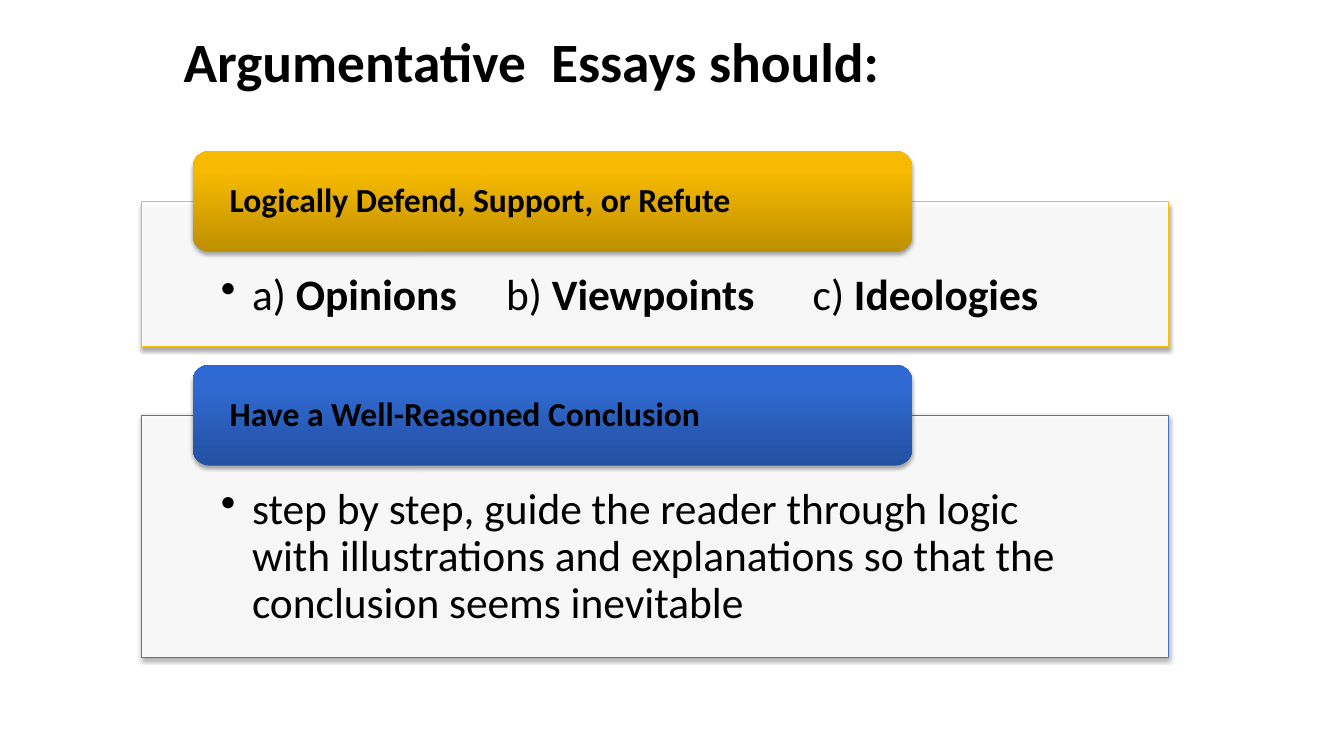
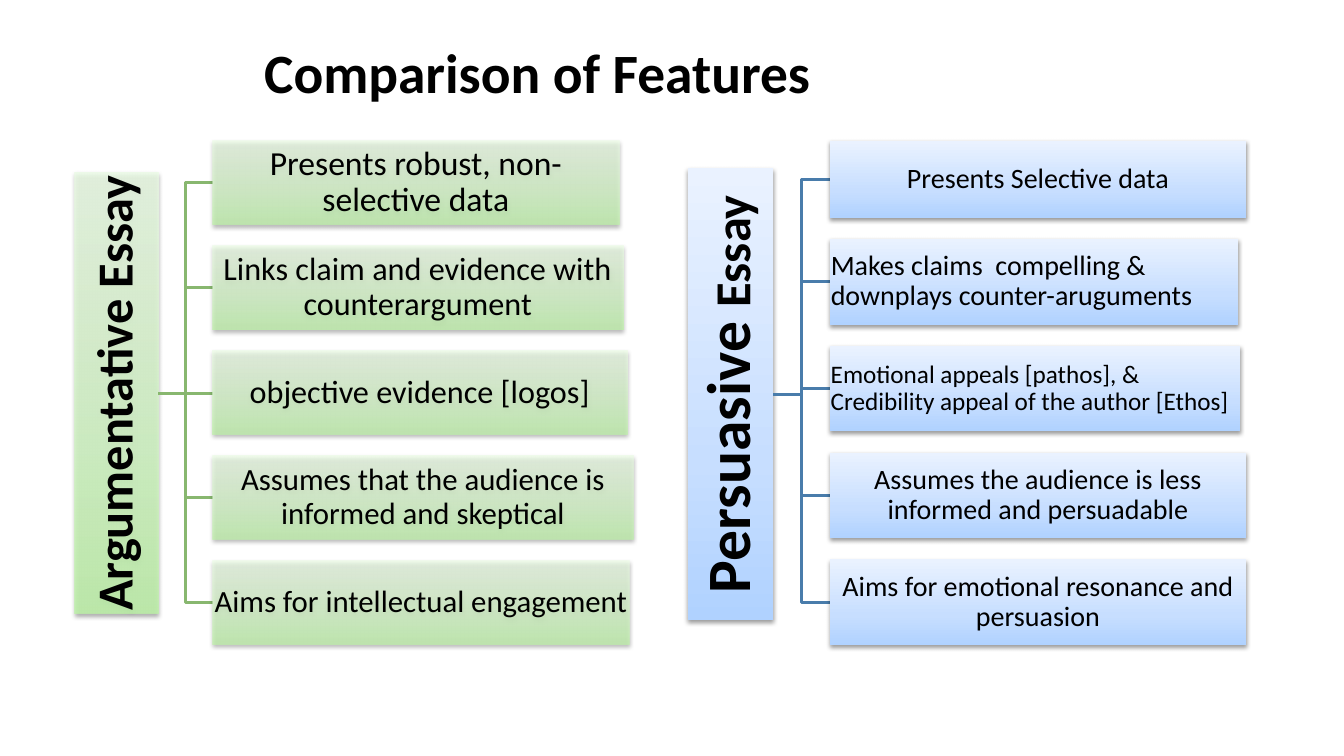
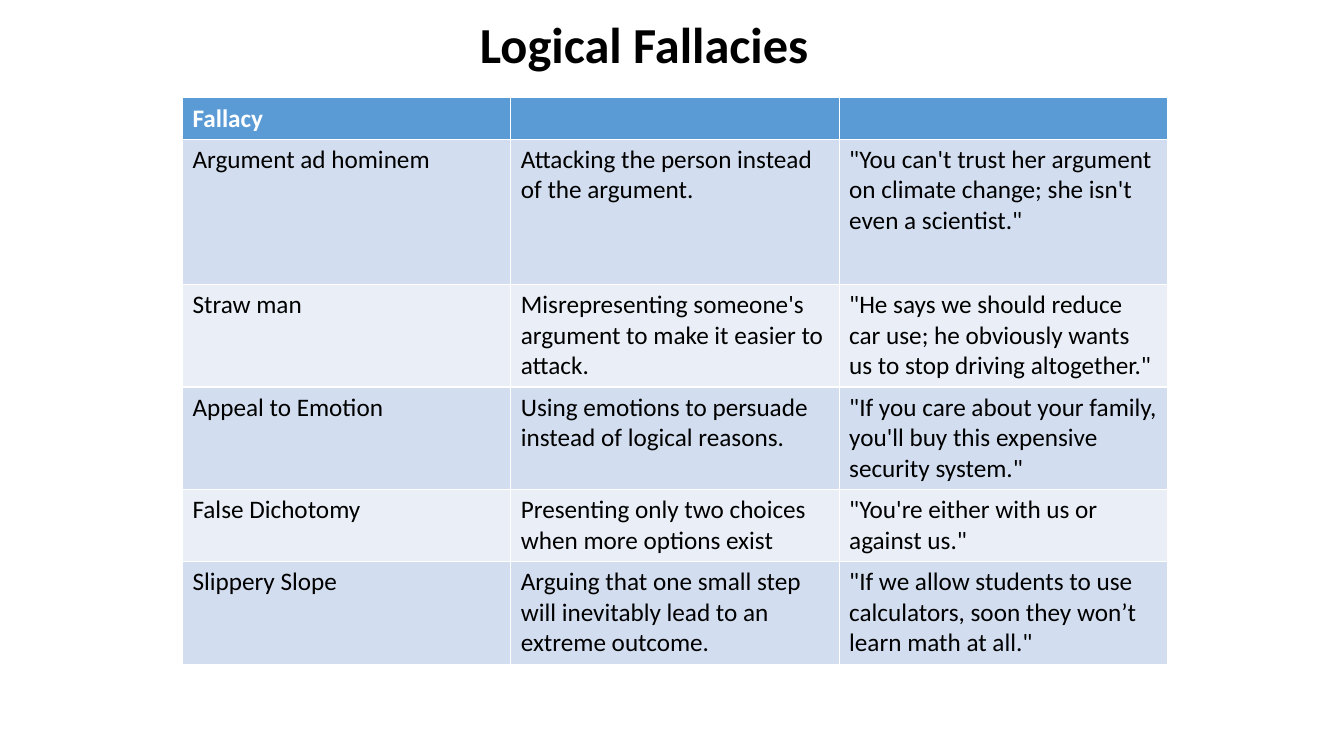
from lxml import etree
from pptx import Presentation
from pptx.dml.color import RGBColor
from pptx.enum import shapes, text
from pptx.oxml import ns
from pptx.util import Inches, Pt

FONT = "Calibri"
BLACK = RGBColor(0x00, 0x00, 0x00)
WHITE = RGBColor(0xFF, 0xFF, 0xFF)
AMBER = RGBColor(0xFF, 0xC0, 0x00)
BLUE = RGBColor(0x44, 0x72, 0xC4)
GREEN_LINE = RGBColor(0x88, 0xB7, 0x6F)
BLUE_LINE = RGBColor(0x49, 0x7C, 0xAB)
HEADER_FILL = RGBColor(0x5B, 0x9B, 0xD5)
BAND_FILLS = [RGBColor(0xD2, 0xDE, 0xEF), RGBColor(0xEA, 0xEF, 0xF7)]

# Gradient stops, from bottom to top: position in percent, colour
AMBER_FADE = [(0, "BE8F00"), (80, "F7BA00"), (100, "F8BB00")]
BLUE_FADE = [(0, "2451A1"), (80, "2F69D1"), (100, "2C69D5")]
GREEN_FADE = [(0, "BEF5A7"), (35, "D1F7C2"), (100, "EDFDE7")]
SKY_FADE = [(0, "B0D2FF"), (35, "C7DEFF"), (100, "EAF2FF")]

LEFT, CENTER = text.PP_ALIGN.LEFT, text.PP_ALIGN.CENTER


def write(frame, runs, align=LEFT, color=BLACK):
    """Fill the first paragraph with runs of (words, size, bold)."""
    paragraph = frame.paragraphs[0]
    paragraph.alignment = align
    paragraph.line_spacing = 0.9
    for words, size, bold in runs:
        run = paragraph.add_run()
        run.text = words
        run.font.name = FONT
        run.font.size = Pt(size)
        run.font.bold = bold
        run.font.color.rgb = color
    return paragraph


def add_box(slide, place, stops, opacity=100, margins=(0.01,) * 4, rounded=False,
            shadow=(38, 1.6)):
    """Add a gradient box with a soft shadow; margins are left, top, right, bottom."""
    preset = shapes.MSO_SHAPE.ROUNDED_RECTANGLE if rounded else shapes.MSO_SHAPE.RECTANGLE
    box = slide.shapes.add_shape(preset, *[Inches(value) for value in place])
    box.line.fill.background()
    box.fill.gradient()
    box.fill.gradient_angle = 90
    stop_list = box._element.spPr.find(".//" + ns.qn("a:gsLst"))
    for stop in list(stop_list):
        stop_list.remove(stop)
    for position, color in stops:
        stop = etree.SubElement(stop_list, ns.qn("a:gs"), pos=str(position * 1000))
        tint = etree.SubElement(stop, ns.qn("a:srgbClr"), val=color)
        etree.SubElement(tint, ns.qn("a:alpha"), val=str(opacity * 1000))

    box.shadow.inherit = False
    effects = box._element.spPr.find(ns.qn("a:effectLst"))
    strength, distance = shadow
    outer = etree.SubElement(effects, ns.qn("a:outerShdw"), blurRad=str(Pt(3.1)),
                             dist=str(Pt(distance)), dir="5400000", rotWithShape="0")
    tint = etree.SubElement(outer, ns.qn("a:srgbClr"), val="000000")
    etree.SubElement(tint, ns.qn("a:alpha"), val=str(strength * 1000))

    frame = box.text_frame
    frame.word_wrap = True
    frame.vertical_anchor = text.MSO_ANCHOR.MIDDLE
    (frame.margin_left, frame.margin_top,
     frame.margin_right, frame.margin_bottom) = [Inches(value) for value in margins]
    return box


presentation = Presentation()
presentation.slide_width = Inches(13.33)
presentation.slide_height = Inches(7.5)

# Slides and titles
titles = [
    ("Argumentative  Essays should:", 39.6, (1.72, 0.3, 8.67, 0.68)),
    ("Comparison of Features", 39.6, (2.52, 0.38, 5.7, 0.73)),
    ("Logical Fallacies", 36, (4.66, 0.11, 4.36, 0.71)),
]
slides = []
for heading, size, place in titles:
    slide = presentation.slides.add_slide(presentation.slide_layouts[5])
    title = slide.shapes.title
    title.left, title.top, title.width, title.height = [Inches(value) for value in place]
    title.text_frame.auto_size = text.MSO_AUTO_SIZE.NONE
    title.text_frame.vertical_anchor = text.MSO_ANCHOR.MIDDLE
    write(title.text_frame, [(heading, size, True)])
    slides.append(slide)
goals_slide, features_slide, fallacies_slide = slides

# Slide 1: panels with a heading pill on the top edge
goals = [
    (2, 1.44, AMBER, AMBER_FADE, "Logically Defend, Support, or Refute",
     [("a) ", 31, False), ("Opinions", 31, True), ("\tb) ", 31, False),
      ("Viewpoints", 31, True), ("\tc) ", 31, False), ("Ideologies", 31, True)]),
    (4.12, 2.4, BLUE, BLUE_FADE, "Have a Well-Reasoned Conclusion",
     [("step by step, guide the reader through logic with illustrations and "
       "explanations so that the conclusion seems inevitable", 31, False)]),
]
for top, height, line_color, fade, heading, details in goals:
    panel = add_box(goals_slide, (1.4, top, 10.19, height), [(0, "FFFFFF"), (100, "FFFFFF")],
                    90, (0.79, 0.71, 0.79, 0.24), shadow=(35, 1.8))
    panel.line.color.rgb = line_color
    panel.line.width = Pt(0.75)
    panel.text_frame.vertical_anchor = text.MSO_ANCHOR.TOP
    properties = write(panel.text_frame, details)._p.get_or_add_pPr()
    properties.set("marL", str(Inches(0.31)))
    properties.set("indent", str(-Inches(0.31)))
    etree.SubElement(properties, ns.qn("a:buChar"), char="•")
    tabs = etree.SubElement(properties, ns.qn("a:tabLst"))
    for position in (2.83, 5.87):
        etree.SubElement(tabs, ns.qn("a:tab"), pos=str(Inches(position)), algn="l")

    pill = add_box(goals_slide, (1.91, top - 0.5, 7.14, 1), fade,
                   margins=(0.32, 0, 0.32, 0), rounded=True, shadow=(35, 1.8))
    write(pill.text_frame, [(heading, 24, True)])

# Slide 2: two trees, each a vertical bar with five features
FIRST_TOP, GAP = 1.4, 0.21
trees = [
    # bar place, bar runs, bar and box opacity, fade, line, box left, features
    ((0.74, 1.71, 0.83, 4.38), [("Argumentative Essay", 36, True)], 80, 70,
     GREEN_FADE, GREEN_LINE, 2.11, [
         (4.03, 0.83, 24, CENTER, "Presents robust, non-selective data"),
         (4.07, 0.83, 23, CENTER, "Links claim and evidence with counterargument"),
         (4.11, 0.83, 23, CENTER, "objective evidence [logos]"),
         (4.17, 0.83, 22, CENTER, "Assumes that the audience is informed and skeptical"),
         (4.13, 0.83, 22, CENTER, "Aims for intellectual engagement")]),
    ((6.82, 1.67, 0.85, 4.48), [("Persuasive ", 44, True), ("Essay", 36, True)], 100, 100,
     SKY_FADE, BLUE_LINE, 8.23, [
         (4.13, 0.76, 20, CENTER, "Presents Selective data"),
         (4.05, 0.85, 20, LEFT, "Makes claims  compelling & downplays counter-aruguments"),
         (4.07, 0.85, 18, LEFT,
          "Emotional appeals [pathos], & Credibility appeal of the author [Ethos]"),
         (4.13, 0.85, 20, CENTER, "Assumes the audience is less informed and persuadable"),
         (4.13, 0.85, 20, CENTER, "Aims for emotional resonance and persuasion")]),
]
for place, name, bar_opacity, opacity, fade, line_color, left, features in trees:
    bar = add_box(features_slide, place, fade, bar_opacity)
    bar.text_frame._txBody.bodyPr.set("vert", "vert270")
    write(bar.text_frame, name, CENTER)
    bar_right = place[0] + place[2]
    bar_middle = place[1] + place[3] / 2
    top = FIRST_TOP
    for width, height, size, align, words in features:
        middle = top + height / 2
        level = abs(middle - bar_middle) < 0.02
        kind = shapes.MSO_CONNECTOR.STRAIGHT if level else shapes.MSO_CONNECTOR.ELBOW
        branch = features_slide.shapes.add_connector(
            kind, Inches(bar_right), Inches(bar_middle),
            Inches(left), Inches(bar_middle if level else middle))
        branch.line.color.rgb = line_color
        branch.line.width = Pt(2)
        etree.SubElement(branch._element.spPr, ns.qn("a:effectLst"))
        box = add_box(features_slide, (left, top, width, height), fade, opacity)
        write(box.text_frame, [(words, size, False)], align)
        top += height + GAP

# Slide 3: table of fallacies
rows = [
    (0.41, "Fallacy", "", ""),
    (1.44, "Argument ad hominem", "Attacking the person instead of the argument.",
     "\"You can't trust her argument on climate change; she isn't even a scientist.\""),
    (1.02, "Straw man", "Misrepresenting someone's argument to make it easier to attack.",
     "\"He says we should reduce car use; he obviously wants us to stop driving altogether.\""),
    (1.02, "Appeal to Emotion", "Using emotions to persuade instead of logical reasons.",
     "\"If you care about your family, you'll buy this expensive security system.\""),
    (0.71, "False Dichotomy", "Presenting only two choices when more options exist",
     "\"You're either with us or against us.\""),
    (1.02, "Slippery Slope",
     "Arguing that one small step will inevitably lead to an extreme outcome.",
     "\"If we allow students to use calculators, soon they won’t learn math at all.\""),
]
table = fallacies_slide.shapes.add_table(
    len(rows), 3, Inches(1.81), Inches(0.97), Inches(9.77),
    Inches(sum(row[0] for row in rows))).table
for row_index, (height, *cells) in enumerate(rows):
    header = row_index == 0
    table.rows[row_index].height = Inches(height)
    for column_index, words in enumerate(cells):
        cell = table.cell(row_index, column_index)
        cell.fill.solid()
        cell.fill.fore_color.rgb = HEADER_FILL if header else BAND_FILLS[(row_index - 1) % 2]
        if header:
            cell.vertical_anchor = text.MSO_ANCHOR.MIDDLE
        if words:
            paragraph = write(cell.text_frame, [(words, 18, header)],
                              color=WHITE if header else BLACK)
            paragraph.line_spacing = 1.0

presentation.save("out.pptx")
